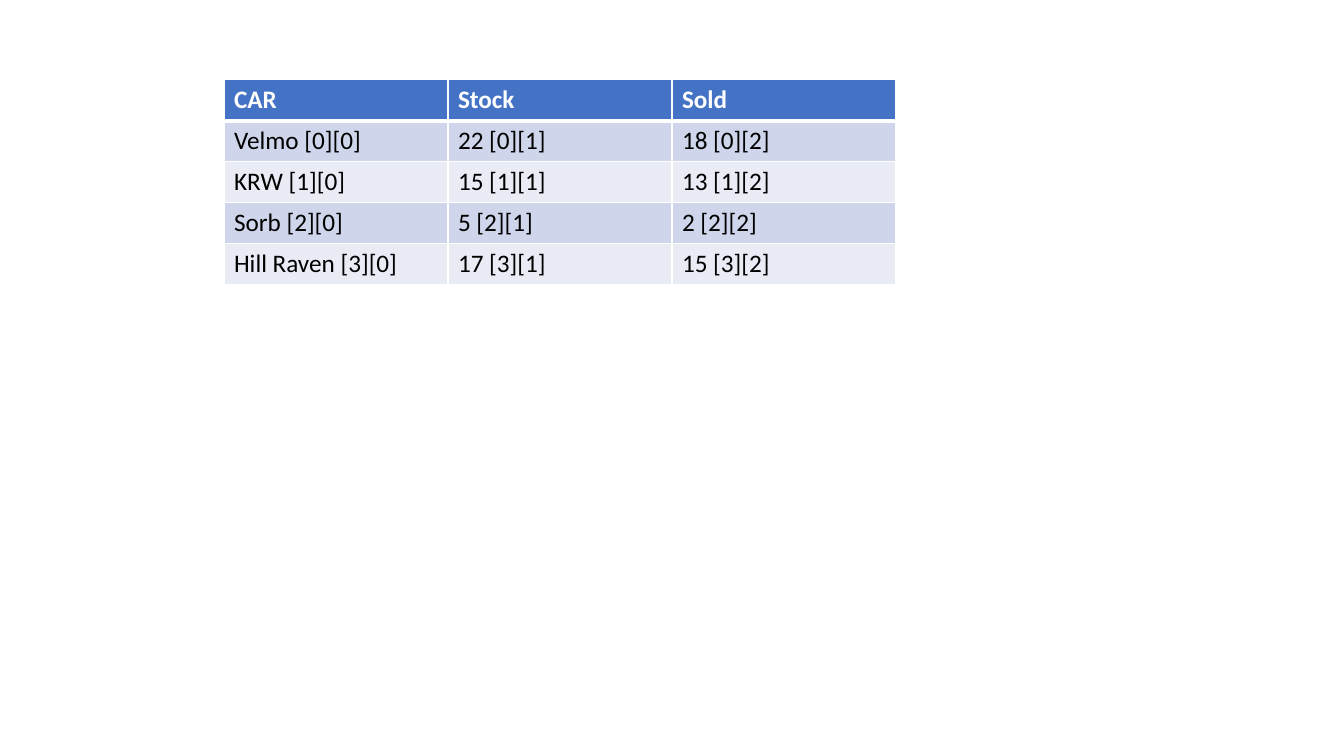
from lxml import etree
from pptx import Presentation, util as u
from pptx.dml.color import RGBColor
from pptx.oxml.ns import qn

Pt = u.Pt
HEADINGS = ["CAR", "Stock", "Sold"]
CARS = [
    ["Velmo", 22, 18],
    ["KRW", 15, 13],
    ["Sorb", 5, 2],
    ["Hill Raven", 17, 15],
]


def color(value):
    return RGBColor.from_string(value)


class SlideBuilder:
    """Hold the style and the current slide, and add elements to it."""

    white = "FFFFFF"
    header_fill = "4472C4"
    band_fills = ["CFD5EA", "E9EBF5"]
    header_format = {"name": "Calibri", "size": Pt(18), "bold": True}
    body_format = {**header_format, "bold": False}

    def __init__(self, presentation):
        self.slide = presentation.slides.add_slide(presentation.slide_layouts[6])

    def add_table(self, rows, left, top, column_width, row_height):
        columns = len(rows[0])
        table = self.slide.shapes.add_table(
            len(rows), columns, Pt(left), Pt(top),
            Pt(column_width * columns), Pt(row_height * len(rows))).table
        for row_index, values in enumerate(rows):
            table.rows[row_index].height = Pt(row_height)
            for column_index, value in enumerate(values):
                self.format_cell(table.cell(row_index, column_index), value, row_index)

    def format_cell(self, cell, value, row_index):
        is_header = row_index == 0
        top_width = 3 if row_index == 1 else 1
        bottom_width = 3 if is_header else 1
        self.add_borders(cell, {"lnL": 1, "lnR": 1, "lnT": top_width, "lnB": bottom_width})
        cell.fill.solid()
        cell.fill.fore_color.rgb = color(
            self.header_fill if is_header else self.band_fills[(row_index - 1) % 2])
        cell.text = value
        font = cell.text_frame.paragraphs[0].runs[0].font
        for name, setting in (self.header_format if is_header else self.body_format).items():
            setattr(font, name, setting)
        font.color.rgb = color(self.white if is_header else "000000")

    def add_borders(self, cell, widths):
        properties = cell._tc.get_or_add_tcPr()
        for tag, width in widths.items():
            line = etree.SubElement(properties, qn(f"a:{tag}"), w=str(Pt(width)))
            fill = etree.SubElement(line, qn("a:solidFill"))
            etree.SubElement(fill, qn("a:srgbClr"), val=self.white)


presentation = Presentation()
presentation.slide_width, presentation.slide_height = Pt(960), Pt(540)
indexed_cars = [
    [f"{value} [{row}][{column}]" for column, value in enumerate(values)]
    for row, values in enumerate(CARS)
]
builder = SlideBuilder(presentation)
builder.add_table([HEADINGS, *indexed_cars], left=160, top=57, column_width=160, row_height=29.2)
presentation.save("out.pptx")
